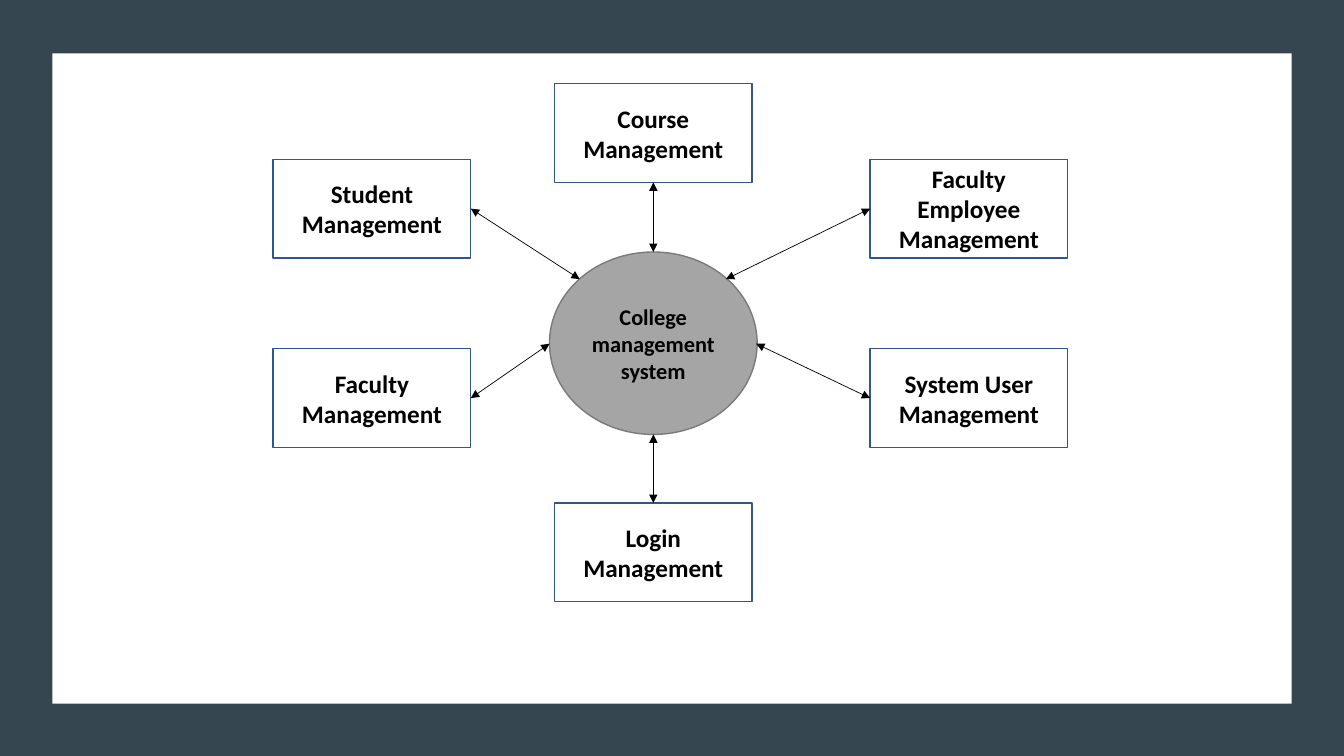
"""Draw the hub diagram of a college management system."""
import pptx
import pptx.dml.color
import pptx.enum.shapes
import pptx.enum.text
import pptx.oxml
import pptx.oxml.ns
import pptx.util

Inches = pptx.util.Inches
Pt = pptx.util.Pt
RGBColor = pptx.dml.color.RGBColor
Shape = pptx.enum.shapes.MSO_SHAPE

SLATE = RGBColor(0x36, 0x46, 0x51)
WHITE = RGBColor(0xFF, 0xFF, 0xFF)
BLACK = RGBColor(0, 0, 0)
BLUE = RGBColor(0x32, 0x54, 0x91)
GRAY = RGBColor(0xA5, 0xA5, 0xA5)
EDGE = RGBColor(0x7A, 0x7A, 0x7A)
TOP, LEFT, BOTTOM, RIGHT = range(4)


class Board:
    def __init__(self, slide, font):
        self.slide = slide
        self.font = font

    def shape(self, kind, area, fill, line=None):
        item = self.slide.shapes.add_shape(kind, *map(Inches, area))
        item.shadow.inherit = False
        item.fill.solid()
        item.fill.fore_color.rgb = fill
        if line is None:
            item.line.fill.background()
        else:
            item.line.color.rgb = line
            item.line.width = Pt(1)
        return item

    def label(self, item, text, size):
        frame = item.text_frame
        frame.word_wrap = True
        frame.vertical_anchor = pptx.enum.text.MSO_ANCHOR.MIDDLE
        para = frame.paragraphs[0]
        para.text = text
        para.alignment = pptx.enum.text.PP_ALIGN.CENTER
        para.font.name = self.font
        para.font.size = Pt(size)
        para.font.bold = True
        para.font.color.rgb = BLACK

    def box(self, left, top, text):
        item = self.shape(Shape.RECTANGLE, (left, top, 1.96, 0.98), WHITE, BLUE)
        self.label(item, text, 18)
        return item

    def arrow(self, start, box, side):
        x, y = map(Inches, start)
        link = self.slide.shapes.add_connector(
            pptx.enum.shapes.MSO_CONNECTOR.STRAIGHT, x, y, x, y)
        link.end_connect(box, side)
        link.line.color.rgb = BLACK
        link.line.width = Pt(0.5)
        line = link.line._get_or_add_ln()
        for tag in ("headEnd", "tailEnd"):
            end = pptx.oxml.parse_xml(
                f'<a:{tag} {pptx.oxml.ns.nsdecls("a")} type="triangle"/>')
            line.append(end)
        props = link._element.spPr
        props.append(pptx.oxml.parse_xml(
            f'<a:effectLst {pptx.oxml.ns.nsdecls("a")}/>'))


def main():
    deck = pptx.Presentation()
    deck.slide_width = Inches(13.33)
    deck.slide_height = Inches(7.5)
    board = Board(deck.slides.add_slide(deck.slide_layouts[6]), "Calibri")

    board.shape(Shape.RECTANGLE, (0, 0, 13.33, 7.5), SLATE)
    board.shape(Shape.RECTANGLE, (0.52, 0.53, 12.29, 6.45), WHITE)
    hub = board.shape(Shape.OVAL, (5.45, 2.5, 2.06, 1.81), GRAY, EDGE)
    board.label(hub, "College management system", 16)

    west, mid, east = 2.71, 5.5, 8.63
    high, low = 1.58, 3.46
    parts = (
        (mid, 0.83, "Course Management", (6.48, 2.5), BOTTOM),
        (east, high, "Faculty Employee Management", (7.2, 2.77), LEFT),
        (east, low, "System User Management", (7.5, 3.41), LEFT),
        (mid, 4.99, "Login Management", (6.48, 4.31), TOP),
        (west, high, "Student Management", (5.75, 2.77), RIGHT),
        (west, low, "Faculty Management", (5.45, 3.41), RIGHT),
    )
    boxes = [board.box(left, top, text) for left, top, text, _, _ in parts]
    for box, (_, _, _, start, side) in zip(boxes, parts):
        board.arrow(start, box, side)

    deck.save("out.pptx")


if __name__ == "__main__":
    main()
